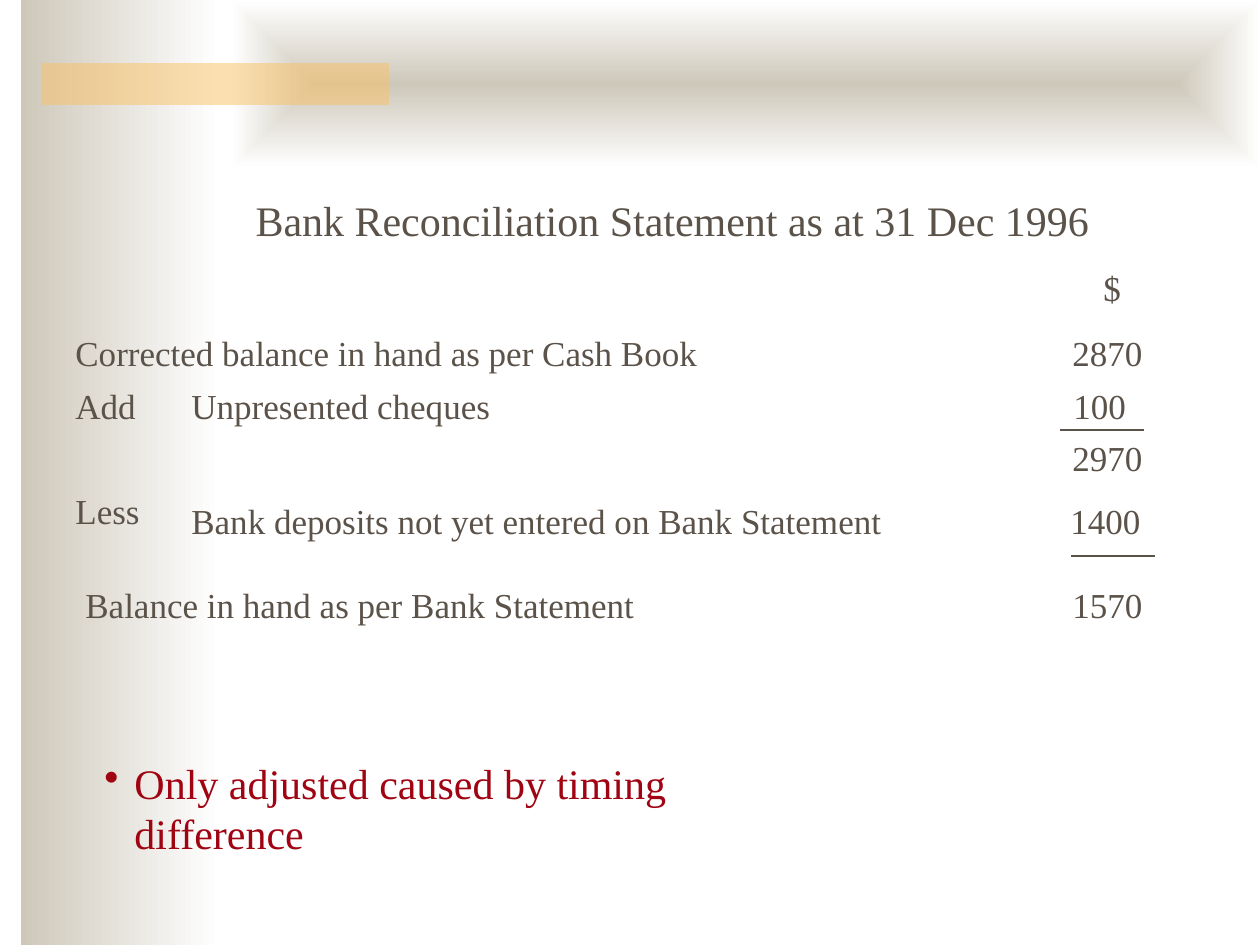
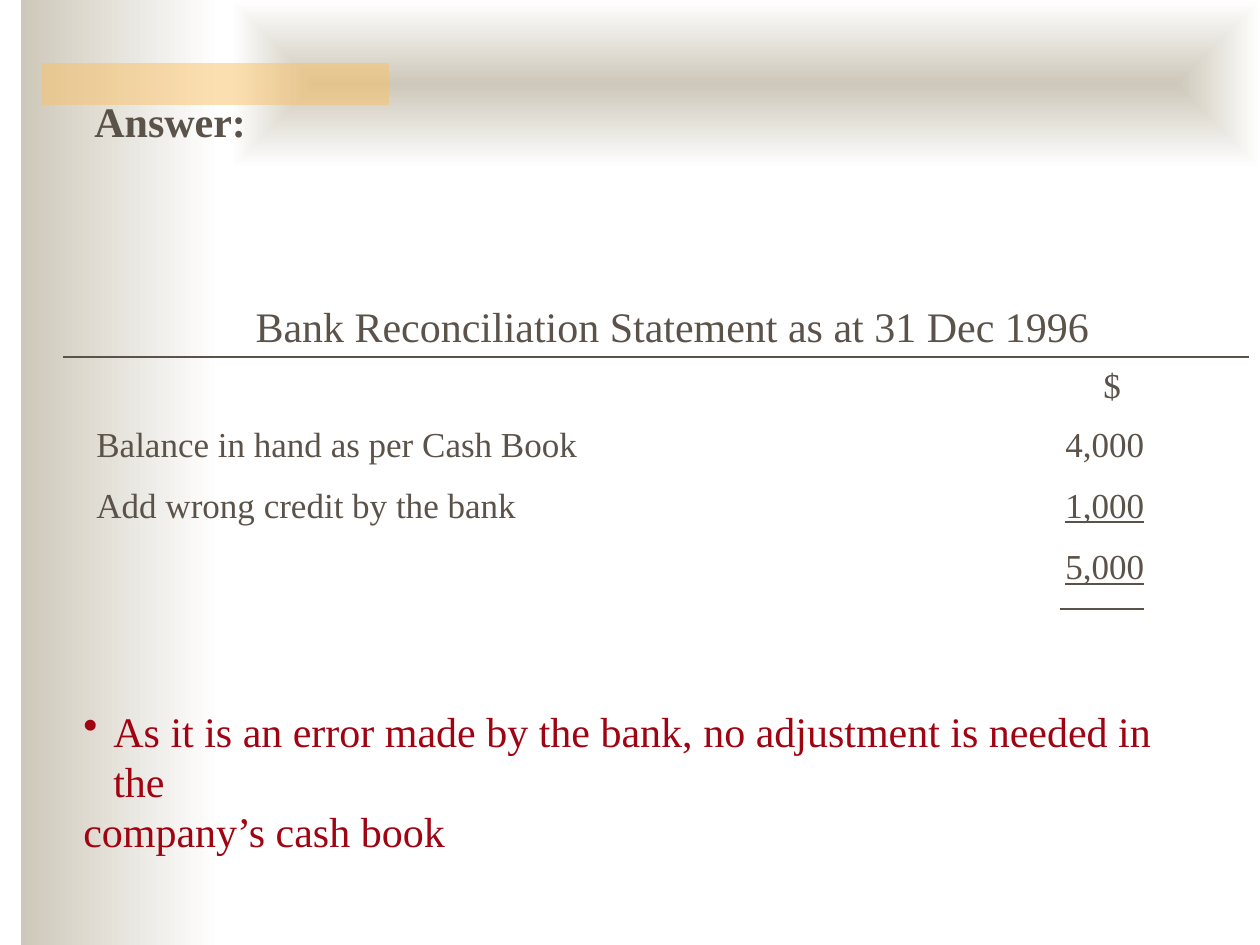
"""Build two bank reconciliation slides in one shared style."""
from lxml import etree
from pptx import Presentation, util as u
from pptx.dml import color
from pptx.enum import shapes, text
from pptx.oxml import ns

SCALE = 914400 / 126
INK, RED, SAND, GOLD, WHITE = "5B5249", "A00413", "CEC8BA", "FAC164", "FFFFFF"
FONT = {"name": "Times New Roman", "bold": False, "underline": False}
TITLE = "Bank Reconciliation Statement as at 31 Dec 1996"


def px(*nums):
    """Turn px lengths into EMU."""
    return [u.Emu(round(n * SCALE)) for n in nums]


def rgb(code):
    """Turn a hex string into a colour."""
    return color.RGBColor.from_string(code)


def sub(node, tag, **vals):
    """Add a child element with the given values."""
    return etree.SubElement(node, ns.qn(tag), {k: str(v) for k, v in vals.items()})


class Deck:
    """Hold the style and the current slide."""

    def __init__(self):
        """Start an empty deck."""
        self.prs = Presentation()
        self.prs.slide_width, self.prs.slide_height = px(1260, 945)

    def page(self, top, unit):
        """Add a slide with bands, title and currency sign."""
        self.slide = self.prs.slides.add_slide(self.prs.slide_layouts[5])
        self.fade(21, 0, 199, 945)
        self.fade(231, 0, 1029, 168, True)
        self.bar(42, 63, 347, 42)
        title = self.slide.shapes.title
        title.left, title.top, title.width, title.height = px(242, top, 861, 63)
        self.frame(title)
        par = title.text_frame.paragraphs[0]
        par.alignment = text.PP_ALIGN.CENTER
        self.span(par, TITLE, 24)
        self.put(1091, unit, 60, ["$"])

    def block(self, *box):
        """Add a plain rectangle."""
        shape = self.slide.shapes.add_shape(shapes.MSO_SHAPE.RECTANGLE, *px(*box))
        shape.shadow.inherit = False
        shape.line.fill.background()
        return shape

    def fade(self, left, top, width, height, inner=False):
        """Add a rectangle that fades from sand to white."""
        shape = self.block(left, top, width, height)
        shape.fill.gradient()
        shape.fill.gradient_angle = 0
        for stop, code in zip(shape.fill.gradient_stops, (SAND, WHITE)):
            stop.color.rgb = rgb(code)
        if inner:
            grad = shape.element.spPr.find(ns.qn("a:gradFill"))
            grad.remove(grad.find(ns.qn("a:lin")))
            way = sub(grad, "a:path", path="shape")
            sub(way, "a:fillToRect", **dict.fromkeys("ltrb", 50000))

    def bar(self, *box):
        """Add the half clear gold bar."""
        shape = self.block(*box)
        shape.fill.solid()
        shape.fill.fore_color.rgb = rgb(GOLD)
        sub(next(shape.element.spPr.iter(ns.qn("a:srgbClr"))), "a:alpha", val=50000)

    def frame(self, shape):
        """Set up the text frame of a shape."""
        form = {"word_wrap": True, "auto_size": text.MSO_AUTO_SIZE.NONE,
                "vertical_anchor": text.MSO_ANCHOR.TOP}
        for key, val in form.items():
            setattr(shape.text_frame, key, val)

    def span(self, par, words, size, code=INK, **more):
        """Add a formatted run."""
        part = par.add_run()
        part.text = words
        for key, val in {**FONT, "size": u.Pt(size), **more}.items():
            setattr(part.font, key, val)
        part.font.color.rgb = rgb(code)

    def put(self, left, top, width, rows, tab=0, size=20, **more):
        """Add a text box of rows, each a label or a label and an amount."""
        box = self.slide.shapes.add_textbox(*px(left, top, width, 54 * len(rows)))
        self.frame(box)
        for i, row in enumerate(rows):
            par = box.text_frame.paragraphs[0] if i == 0 else box.text_frame.add_paragraph()
            par.space_before = u.Pt(11 if i else 0)
            if isinstance(row, str):
                self.span(par, row, size, **more)
                continue
            label, total, line = row
            stops = sub(par._p.get_or_add_pPr(), "a:tabLst")
            sub(stops, "a:tab", pos=px(tab)[0], algn="l")
            self.span(par, label + "\t", size, **more)
            self.span(par, total, size, underline=line, **more)

    def note(self, left, top, width, first, *rest):
        """Add a red bullet with plain lines below."""
        box = self.slide.shapes.add_textbox(*px(left, top, width, 113))
        self.frame(box)
        par = box.text_frame.paragraphs[0]
        props = par._p.get_or_add_pPr()
        gap = px(30)[0]
        props.set("marL", str(gap))
        props.set("indent", str(-gap))
        sub(props, "a:buChar", char="•")
        self.span(par, first, 24, RED)
        for words in rest:
            self.span(box.text_frame.add_paragraph(), words, 24, RED)

    def rule(self, left, right, top):
        """Add a thin level line."""
        line = self.slide.shapes.add_connector(
            shapes.MSO_CONNECTOR.STRAIGHT, *px(left, top, right, top))
        line.line.width = u.Pt(0.75)
        line.line.color.rgb = rgb(INK)
        sub(line.element.spPr, "a:effectLst")


def main():
    """Build and save both slides."""
    deck = Deck()

    deck.page(188, 260)
    deck.put(63, 325, 907, ["Corrected balance in hand as per Cash Book"])
    deck.put(179, 378, 980, [("Unpresented cheques", "100", False)], 882)
    deck.put(179, 493, 980,
             [("Bank deposits not yet entered on Bank Statement", "1400", False)], 879)
    deck.put(73, 577, 781, ["Balance in hand as per Bank Statement"])
    for top, total in ((325, "2870"), (430, "2970"), (577, "1570")):
        deck.put(1060, top, 105, [total])
    for top, word in ((378, "Add"), (483, "Less")):
        deck.put(63, top, 105, [word])
    deck.rule(1060, 1144, 430)
    deck.rule(1071, 1155, 556)
    deck.note(92, 751, 752, "Only adjusted caused by timing difference")

    deck.page(294, 357)
    deck.rule(63, 1249, 357)
    deck.put(84, 416, 1155, [
        ("Balance in hand as per Cash Book", "4,000", False),
        ("Add wrong credit by the bank", "1,000", True),
        ("", "5,000", True)], 969)
    deck.rule(1060, 1144, 609)
    deck.note(71, 699, 1147,
              "As it is an error made by the bank, no adjustment is needed in the",
              "company’s cash book")
    deck.put(82, 89, 190, ["Answer:"], size=24, bold=True)

    deck.prs.save("out.pptx")


if __name__ == "__main__":
    main()
